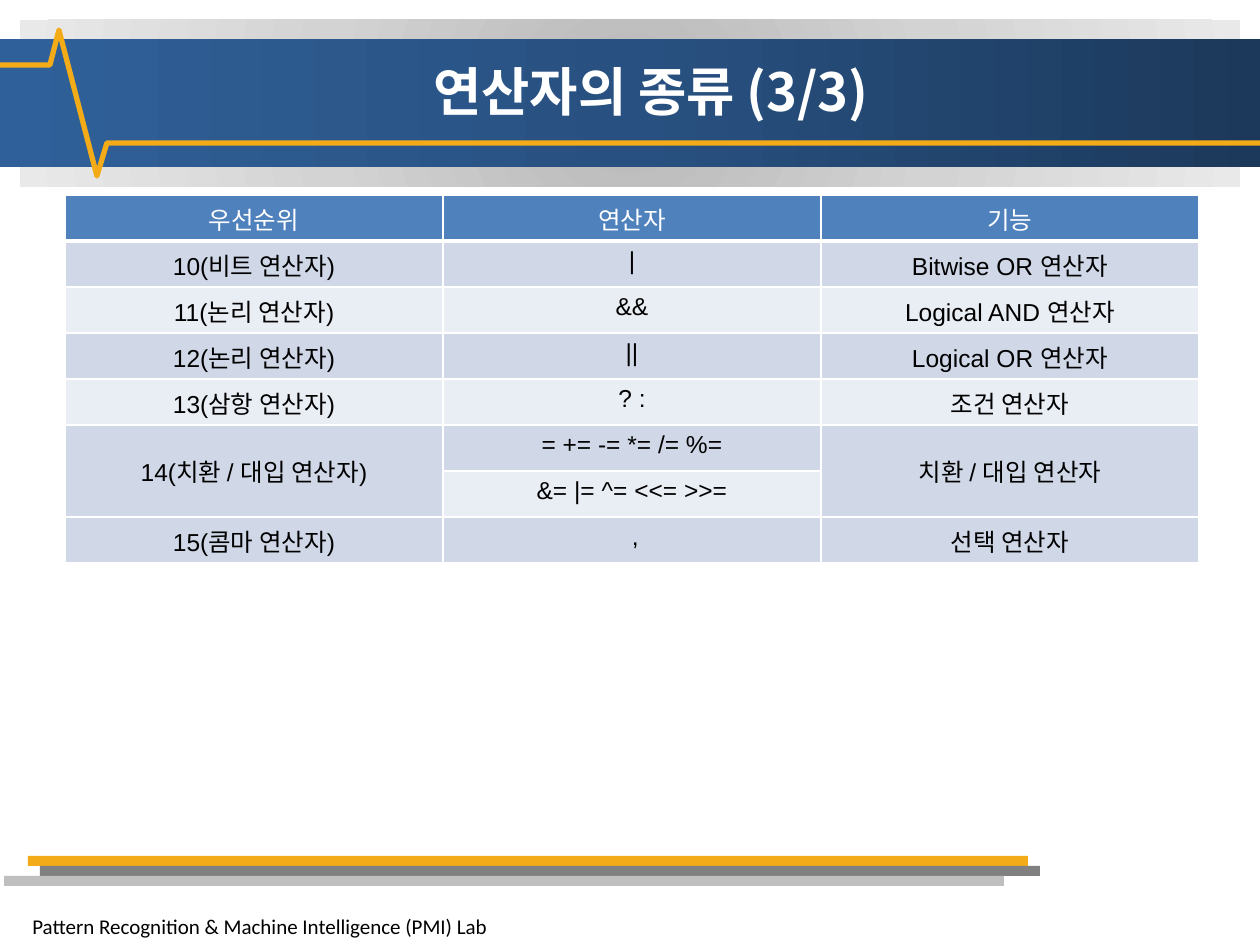
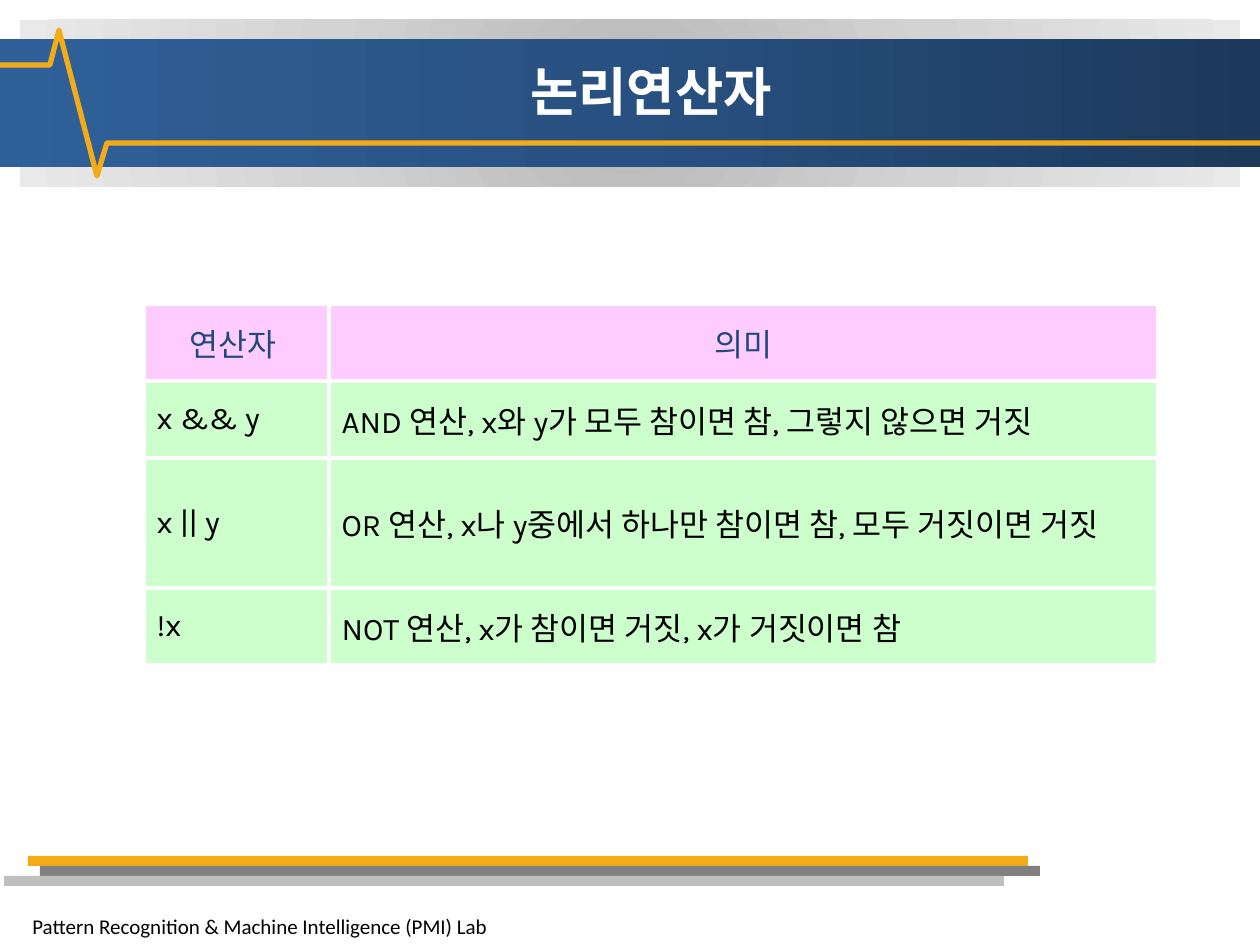
from lxml import etree
from pptx import Presentation
from pptx import util as u
from pptx.dml.color import RGBColor
from pptx.enum import shapes, text
from pptx.oxml import ns

ALIGN = {"l": text.PP_ALIGN.LEFT, "c": text.PP_ALIGN.CENTER, "j": text.PP_ALIGN.JUSTIFY}
TOP, MIDDLE = text.MSO_ANCHOR.TOP, text.MSO_ANCHOR.MIDDLE
KOREAN_FONT = "Noto Sans CJK KR"
WHITE, BLACK, GOLD = "FFFFFF", "000000", "F4AB18"
BLUE, NAVY, PINK, MINT = "4F81BD", "1F497D", "FFCCFF", "CCFFCC"
ROW_TINTS = ("D0D8E8", "E9EDF4")
BAND_WIDTH, BAND_HEIGHT = 1000, 10
FOOTER_BANDS = ((28, GOLD), (40, "808080"), (4, "BFBFBF"))
PULSE = ((0, 65), (50, 65), (59, 30), (97, 176), (107, 143), (1260, 143))

PRIORITIES = (
    ("우선순위", "연산자", "기능"),
    ("10(비트 연산자)", "|", "Bitwise OR 연산자"),
    ("11(논리 연산자)", "&&", "Logical AND 연산자"),
    ("12(논리 연산자)", "||", "Logical OR 연산자"),
    ("13(삼항 연산자)", "? :", "조건 연산자"),
    ("14(치환 / 대입 연산자)", "= += -= *= /= %=", "치환 / 대입 연산자"),
    ("", "&= |= ^= <<= >>=", ""),
    ("15(콤마 연산자)", " ,", "선택 연산자"),
)
LOGIC = (
    ("연산자 ", "의미"),
    ("x && y", "AND 연산, x와 y가 모두 참이면 참, 그렇지 않으면 거짓"),
    ("x || y", "OR 연산, x나 y중에서 하나만 참이면 참, 모두 거짓이면 거짓"),
    ("!x", "NOT 연산, x가 참이면 거짓, x가 거짓이면 참"),
)


def px(length):
    return u.Emu(round(length * 914400 / 126))


def color(code):
    return RGBColor.from_string(code)


class Builder:
    def __init__(self, deck):
        self.deck = deck
        self.slide = None

    def new_slide(self, title):
        self.slide = self.deck.slides.add_slide(self.deck.slide_layouts[6])
        self.text_box((20, 907, 1043, 38), "Pattern Recognition & Machine Intelligence (PMI) Lab",
                      12, "Calibri", BLACK)
        for row, (left, fill) in enumerate(FOOTER_BANDS):
            self.rect((left, 856 + row * BAND_HEIGHT, BAND_WIDTH, BAND_HEIGHT), fill)
        halo = self.rect((20, 20, 1220, 167), WHITE)
        self.gradient(halo, ("B8B8B8", "D3D3D3", "E9E9E9"),
                      '<a:path path="circle"><a:fillToRect l="50000" t="50000" r="50000" b="50000"/></a:path>')
        band = self.rect((0, 39, 1260, 128), BLUE)
        self.gradient(band, ("1C395B", "285181", "306099"), '<a:lin ang="10800000" scaled="0"/>')
        self.polyline(PULSE, GOLD, 3)
        self.text_box((101, 47, 1100, 88), title, 30, KOREAN_FONT, WHITE, True, "c", MIDDLE)

    def rect(self, area, fill):
        shape = self.slide.shapes.add_shape(shapes.MSO_SHAPE.RECTANGLE, *map(px, area))
        shape.shadow.inherit = False
        shape.fill.solid()
        shape.fill.fore_color.rgb = color(fill)
        shape.line.fill.background()
        return shape

    def gradient(self, shape, colors, direction):
        stops = "".join(
            f'<a:gs pos="{index * 50000}"><a:srgbClr val="{code}"/></a:gs>'
            for index, code in enumerate(colors))
        fill = etree.fromstring(
            f'<a:gradFill {ns.nsdecls("a")} rotWithShape="1">'
            f'<a:gsLst>{stops}</a:gsLst>{direction}</a:gradFill>')
        properties = shape.element.spPr
        properties.replace(properties.find(ns.qn("a:solidFill")), fill)

    def polyline(self, points, line, width):
        start, *rest = [tuple(map(px, point)) for point in points]
        outline = self.slide.shapes.build_freeform(*start)
        outline.add_line_segments(rest, close=False)
        shape = outline.convert_to_shape()
        shape.shadow.inherit = False
        shape.fill.background()
        shape.line.color.rgb = color(line)
        shape.line.width = u.Pt(width)

    def text_box(self, area, words, size, font, ink, bold=False, align="l", anchor=TOP):
        box = self.slide.shapes.add_textbox(*map(px, area))
        box.text_frame.word_wrap = True
        box.text_frame.vertical_anchor = anchor
        self.style_text(box.text_frame, words, size, font, ink, bold, align)

    def style_text(self, frame, words, size, font, ink, bold, align):
        frame.text = words
        para = frame.paragraphs[0]
        para.alignment = ALIGN[align]
        for span in para.runs:
            span.font.size = u.Pt(size)
            span.font.name = font
            span.font.bold = bold
            span.font.color.rgb = color(ink)
            east = etree.SubElement(span.font._element, ns.qn("a:ea"))
            east.set("typeface", KOREAN_FONT)

    def table(self, corner, widths, heights):
        frame = self.slide.shapes.add_table(
            len(heights), len(widths), *map(px, (*corner, sum(widths), sum(heights))))
        table = frame.table
        table.first_row = table.horz_banding = False
        for column, width in zip(table.columns, widths):
            column.width = px(width)
        for row, height in zip(table.rows, heights):
            row.height = px(height)
        return table

    def cell(self, cell, words, size, font, ink, fill, align, anchor, borders):
        self.style_text(cell.text_frame, words, size, font, ink, False, align)
        cell.vertical_anchor = anchor
        properties = cell._tc.get_or_add_tcPr()
        for side, width in zip("LRTB", borders):
            properties.append(etree.fromstring(
                f'<a:ln{side} {ns.nsdecls("a")} w="{u.Pt(width)}">'
                f'<a:solidFill><a:srgbClr val="{WHITE}"/></a:solidFill></a:ln{side}>'))
        cell.fill.solid()
        cell.fill.fore_color.rgb = color(fill)


def priority_slide(builder):
    builder.new_slide("연산자의 종류 (3/3)")
    table = builder.table((65, 195), [378] * 3, [46] * len(PRIORITIES))
    for r, row in enumerate(PRIORITIES):
        header = r == 0
        for c, words in enumerate(row):
            builder.cell(table.cell(r, c), words, 14, "Arial",
                         WHITE if header else BLACK,
                         BLUE if header else ROW_TINTS[(r - 1) % 2], "c",
                         TOP if header or c == 1 else MIDDLE,
                         (1, 1, 3 if r == 1 else 1, 3 if header else 1))
    for c in (0, 2):
        table.cell(5, c).merge(table.cell(6, c))


def logic_slide(builder):
    builder.new_slide("논리연산자")
    table = builder.table((144, 304), (185, 829), (77, 77, 130, 77))
    for r, row in enumerate(LOGIC):
        ink, fill, align = (NAVY, PINK, "c") if r == 0 else (BLACK, MINT, "j")
        for c, words in enumerate(row):
            builder.cell(table.cell(r, c), words, 18, "Karla", ink, fill, align, MIDDLE, [3] * 4)


def main():
    deck = Presentation()
    deck.slide_width, deck.slide_height = px(1260), px(945)
    builder = Builder(deck)
    priority_slide(builder)
    logic_slide(builder)
    deck.save("out.pptx")


if __name__ == "__main__":
    main()
